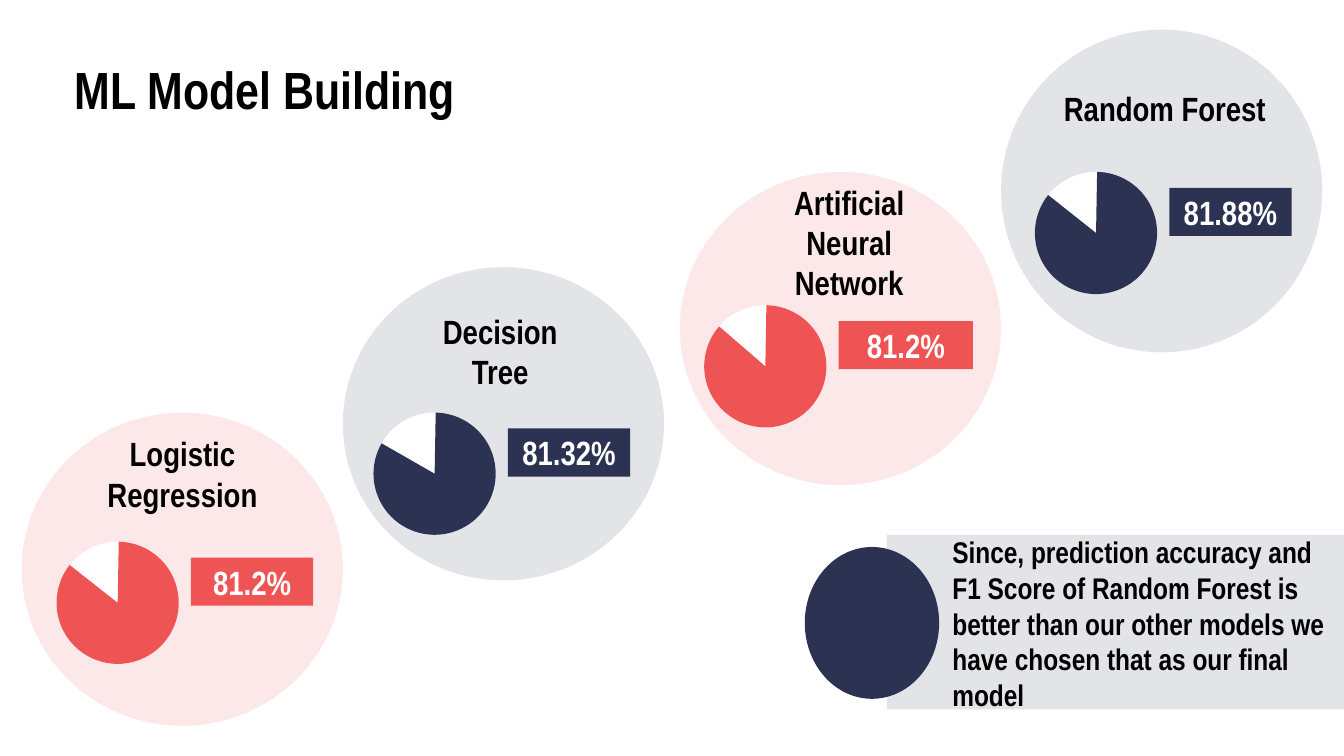
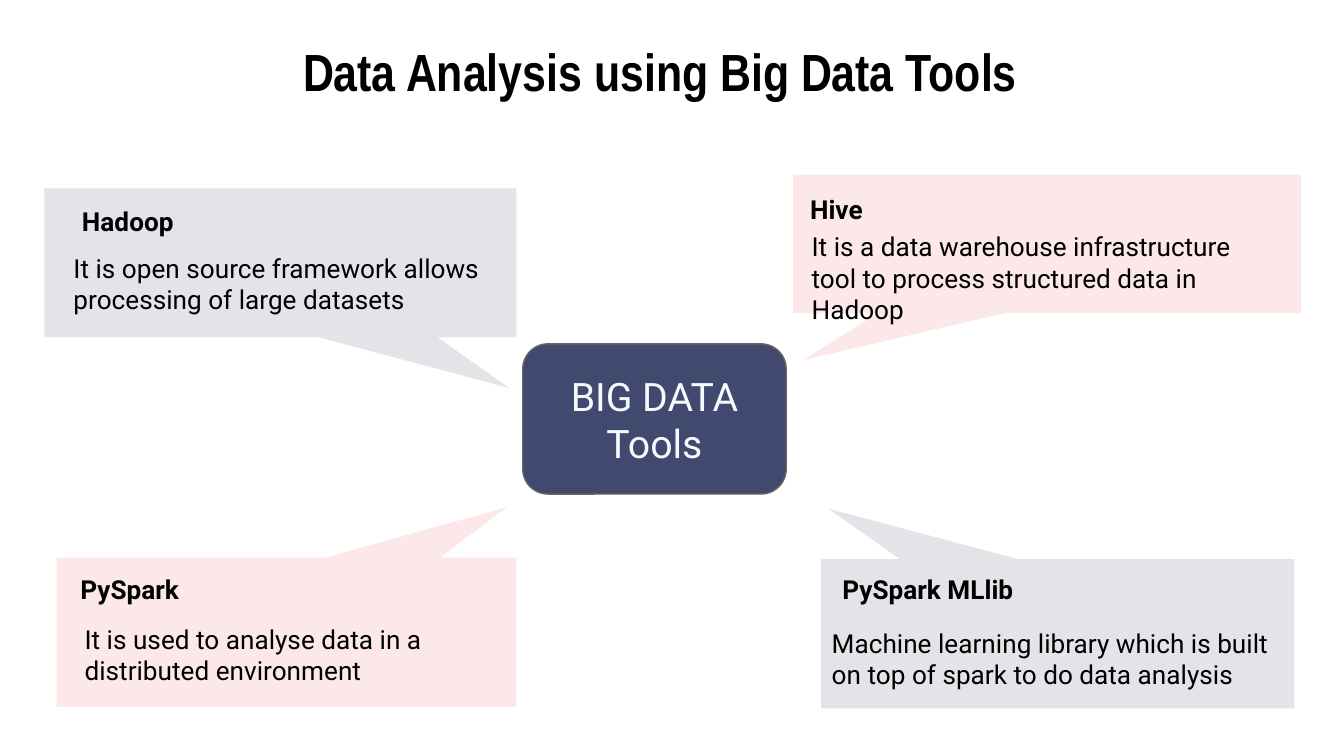
from dataclasses import dataclass

from lxml import etree
from pptx import Presentation
from pptx import util as u
from pptx.dml.color import RGBColor
from pptx.enum import shapes, text
from pptx.oxml.ns import qn

NAVY, CORAL, HUB = "2B3252", "EF5455", "41496F"
BLACK, WHITE, ICE, GREY = "000000", "FFFFFF", "F4FBFF", "666666"
TINT = 13  # opacity of the pale areas, percent
HEAD_FONT, BODY_FONT = "Arial Narrow", "Roboto"
MSO, CENTER, LEFT = shapes.MSO_SHAPE, text.PP_ALIGN.CENTER, text.PP_ALIGN.LEFT
TOP, MIDDLE = text.MSO_ANCHOR.TOP, text.MSO_ANCHOR.MIDDLE

Box = tuple[float, float, float, float]  # left, top, width, height in cm
Point = tuple[float, float]

PIE_SIZE = 2.31
PIE_START = 271.02
BADGE_OFFSET = (2.54, 0.3)
BADGE_HEIGHT = 0.91


@dataclass
class Model:
    name: str
    accuracy: str
    color: str
    circle: Box
    label: Box
    pie: Point
    pie_end: float  # degrees
    badge_width: float = PIE_SIZE


@dataclass
class Tool:
    name: str
    description: str
    color: str
    callout: Box
    heading: Point
    body: Point
    body_width: float
    tail_x: float
    rotation: int = 0


MODELS = [
    Model("Logistic Regression", "81.2%", CORAL, (0.41, 7.8, 6.07, 5.92),
          (1.75, 8.43, 3.4, 1.04), (1.07, 10.24), 218.25),
    Model("Decision Tree", "81.32%", NAVY, (6.48, 5.05, 6.07, 5.92),
          (7.7, 5.77, 3.51, 1.73), (7.06, 7.8), 209.79),
    Model("Artificial Neural Network", "81.2%", CORAL, (12.85, 3.25, 6.07, 5.92),
          (14.35, 4.06, 3.4, 1.04), (13.31, 5.77), 220.84, 2.54),
    Model("Random Forest", "81.88%", NAVY, (18.92, 0.56, 6.07, 6.1),
          (19.79, 1.52, 4.45, 1.04), (19.56, 3.25), 218.42),
]

TOOLS = [
    Tool("Hadoop", "It is open source framework allows processing of large datasets",
         NAVY, (0.84, 3.56, 8.92, 2.82), (1.3, 3.63), (1.14, 4.52), 8.2, 0.485),
    Tool("Hive", "It is a data warehouse infrastructure tool to process structured data in Hadoop",
         CORAL, (14.99, 3.3, 9.6, 2.62), (15.06, 3.4), (15.09, 4.11), 9.37, -0.48),
    Tool("PySpark", "It is used to analyse data in a distributed environment",
         CORAL, (1.07, 10.54, 8.69, 2.82), (1.27, 10.59), (1.35, 11.53), 8.2, -0.48, 180),
    Tool("PySpark MLlib", "Machine learning library which is built on top of spark to do data analysis",
         NAVY, (15.52, 10.57, 8.94, 2.82), (15.67, 10.59), (15.47, 11.61), 8.92, 0.485, 180),
]


def rgb(color: str) -> RGBColor:
    return RGBColor.from_string(color)


def cm(box: Box) -> list[u.Length]:
    return [u.Cm(v) for v in box]


def write(sp, content: str, *, size: float, color: str = BLACK, font: str = HEAD_FONT,
          bold: bool = True, align=CENTER, anchor=MIDDLE) -> None:
    """Fill a shape with text, one paragraph per line."""
    tf = sp.text_frame
    tf.word_wrap = True
    tf.auto_size = text.MSO_AUTO_SIZE.NONE
    tf.vertical_anchor = anchor
    tf.margin_left = tf.margin_right = tf.margin_top = tf.margin_bottom = u.Cm(0.25)
    for i, line in enumerate(content.split("\n")):
        p = tf.paragraphs[0] if i == 0 else tf.add_paragraph()
        p.alignment = align
        r = p.add_run()
        r.text = line
        r.font.name, r.font.size, r.font.bold = font, u.Pt(size), bold
        r.font.color.rgb = rgb(color)


def add_shape(slide, kind, box: Box, color: str, *, opacity: int = 100,
              adjust: tuple[float, ...] = ()):
    sp = slide.shapes.add_shape(kind, *cm(box))
    sp.shadow.inherit = False
    sp.line.fill.background()
    sp.fill.solid()
    sp.fill.fore_color.rgb = rgb(color)
    if opacity < 100:
        clr = sp._element.spPr.find(qn("a:solidFill")).find(qn("a:srgbClr"))
        etree.SubElement(clr, qn("a:alpha")).set("val", str(opacity * 1000))
    for i, value in enumerate(adjust):
        sp.adjustments[i] = value
    return sp


def add_text(slide, box: Box, content: str, **style) -> None:
    write(slide.shapes.add_textbox(*cm(box)), content, **style)


def add_titled_slide(prs, title: str, box: Box, anchor=MIDDLE):
    slide = prs.slides.add_slide(prs.slide_layouts[5])
    sp = slide.shapes.title
    sp.left, sp.top, sp.width, sp.height = cm(box)
    write(sp, title, size=28, anchor=anchor)
    return slide


def add_model(slide, m: Model) -> None:
    x, y = m.pie
    pie_box = (x, y, PIE_SIZE, PIE_SIZE)
    add_shape(slide, MSO.OVAL, pie_box, WHITE)
    # Pie angles are stored in 1/60000 degree, adjustments in 1/100000
    add_shape(slide, MSO.PIE, pie_box, m.color,
              adjust=(PIE_START * 0.6, m.pie_end * 0.6))
    dx, dy = BADGE_OFFSET
    badge = add_shape(slide, MSO.RECTANGLE, (x + dx, y + dy, m.badge_width, BADGE_HEIGHT), m.color)
    write(badge, m.accuracy, size=18, color=WHITE)
    add_text(slide, m.label, m.name, size=18)


def add_tool(slide, t: Tool) -> None:
    sp = add_shape(slide, MSO.RECTANGULAR_CALLOUT, t.callout, t.color,
                   opacity=TINT, adjust=(t.tail_x, 0.839))
    sp.rotation = t.rotation
    style = dict(size=14, font=BODY_FONT, align=LEFT, anchor=TOP)
    add_text(slide, (*t.body, t.body_width, 1.7), t.description, bold=False, **style)
    add_text(slide, (*t.heading, 3.78, 1.12), t.name, **style)


def build_models(prs) -> None:
    slide = add_titled_slide(prs, "ML Model Building", (0.84, 0.84, 8.33, 1.7), TOP)
    for m in MODELS:
        add_shape(slide, MSO.OVAL, m.circle, m.color, opacity=TINT)
    for m in MODELS:
        add_model(slide, m)
    # Conclusion
    add_shape(slide, MSO.RECTANGLE, (16.76, 10.11, 8.64, 3.3), NAVY, opacity=TINT)
    add_shape(slide, MSO.OVAL, (15.21, 10.34, 2.54, 2.87), NAVY)
    add_text(slide, (17.75, 10.19, 7.65, 3.18),
             "Since, prediction accuracy and F1 Score of Random Forest is better than "
             "our other models we have chosen that as our final model",
             size=16, align=LEFT)


def build_tools(prs) -> None:
    slide = add_titled_slide(prs, "Data Analysis using Big Data Tools", (1.04, 0.81, 22.86, 1.04))
    for t in TOOLS:
        add_tool(slide, t)
    # Central hub
    hub = add_shape(slide, MSO.ROUNDED_RECTANGLE, (9.88, 6.5, 4.98, 2.84), HUB, adjust=(0.167,))
    hub.line.color.rgb = rgb(GREY)
    hub.line.width = u.Pt(0.75)
    write(hub, "BIG DATA\nTools", size=21, color=ICE, font=BODY_FONT, bold=False)


def main() -> None:
    prs = Presentation()
    prs.slide_width, prs.slide_height = u.Cm(25.4), u.Cm(14.29)
    build_models(prs)
    build_tools(prs)
    prs.save("out.pptx")


if __name__ == "__main__":
    main()
